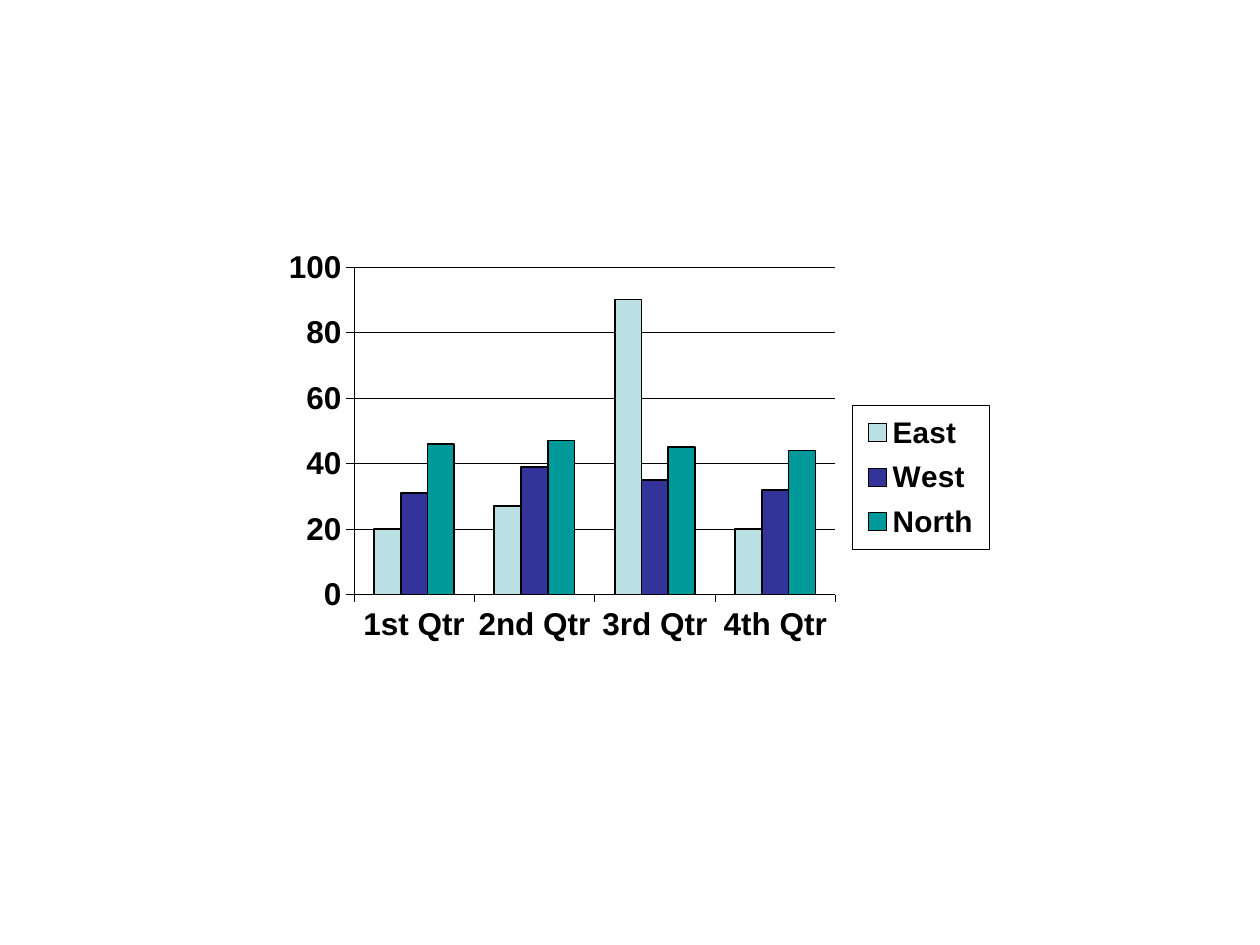
from lxml.etree import SubElement
from pptx import Presentation
from pptx.chart.data import CategoryChartData
from pptx.dml.color import RGBColor
from pptx.enum.chart import XL_CHART_TYPE as ChartType
from pptx.enum.chart import XL_LEGEND_POSITION as LegendPosition
from pptx.enum.chart import XL_TICK_LABEL_POSITION as LabelPosition
from pptx.enum.chart import XL_TICK_MARK as TickMark
from pptx.oxml import parse_xml
from pptx.oxml.ns import nsdecls, qn
from pptx.util import Pt

BLACK = "000000"
QUARTERS = ["1st Qtr", "2nd Qtr", "3rd Qtr", "4th Qtr"]
REGIONS = [
    ("East", [20, 27, 90, 20], "BBE0E3"),
    ("West", [31, 39, 35, 32], "333399"),
    ("North", [46, 47, 45, 44], "009999"),
]


def color(hex_value):
    return RGBColor.from_string(hex_value)


def style_font(font, size):
    font.name = "Arial"
    font.size = Pt(size)
    font.bold = True
    font.color.rgb = color(BLACK)


def style_line(line, width):
    line.color.rgb = color(BLACK)
    line.width = Pt(width)


def make_layout(left, top, width, height, inner=False):
    """Manual layout, in fractions of the chart's size."""
    layout = parse_xml(f"<c:layout {nsdecls('c')}><c:manualLayout/></c:layout>")
    settings = [("layoutTarget", "inner")] if inner else []
    settings += [("xMode", "edge"), ("yMode", "edge"),
                 ("x", left), ("y", top), ("w", width), ("h", height)]
    for name, value in settings:
        SubElement(layout[0], qn(f"c:{name}")).set("val", str(value))
    return layout


def style_axis(axis):
    axis.major_tick_mark = TickMark.OUTSIDE
    axis.minor_tick_mark = TickMark.NONE
    style_font(axis.tick_labels.font, 18)
    style_line(axis.format.line, 0.25)


def add_legend(chart):
    chart.has_legend = True
    legend = chart.legend
    legend.position = LegendPosition.RIGHT
    legend.include_in_layout = False
    style_font(legend.font, 17)
    position = legend._element.find(qn("c:legendPos"))
    for old_layout in legend._element.findall(qn("c:layout")):
        legend._element.remove(old_layout)
    position.addnext(make_layout(0.81, 0.36, 0.19, 0.3))
    # Thin frame around the legend
    frame = parse_xml(
        f'<c:spPr {nsdecls("c", "a")}><a:noFill/><a:ln w="{Pt(0.25)}"><a:solidFill>'
        f'<a:srgbClr val="{BLACK}"/></a:solidFill></a:ln></c:spPr>')
    legend._element.find(qn("c:txPr")).addprevious(frame)


def add_quarter_chart(slide, left, top, width, height):
    data = CategoryChartData()
    data.categories = QUARTERS
    for name, values, _ in REGIONS:
        data.add_series(name, values)
    chart = slide.shapes.add_chart(
        ChartType.COLUMN_CLUSTERED, Pt(left), Pt(top), Pt(width), Pt(height), data).chart
    chart.has_title = False
    style_font(chart.font, 18)

    # Columns
    plot = chart.plots[0]
    plot.gap_width = 150
    plot.overlap = 0
    plot.vary_by_categories = False
    for series, (_, _, fill_color) in zip(plot.series, REGIONS):
        series.format.fill.solid()
        series.format.fill.fore_color.rgb = color(fill_color)
        style_line(series.format.line, 1)

    # Axes and gridlines
    category_axis, value_axis = chart.category_axis, chart.value_axis
    style_axis(category_axis)
    category_axis.tick_label_position = LabelPosition.LOW
    style_axis(value_axis)
    value_axis.minimum_scale, value_axis.maximum_scale = 0, 100
    value_axis.major_unit = 20
    value_axis.has_major_gridlines = True
    style_line(value_axis.major_gridlines.format.line, 0.25)

    # Plot area and legend
    plot_area = chart._chartSpace.chart.plotArea
    for old_layout in plot_area.findall(qn("c:layout")):
        plot_area.remove(old_layout)
    plot_area.insert(0, make_layout(0.114, 0.073, 0.672, 0.681, inner=True))
    add_legend(chart)


def main():
    presentation = Presentation()
    presentation.slide_width, presentation.slide_height = Pt(720), Pt(540)
    slide = presentation.slides.add_slide(presentation.slide_layouts[6])
    add_quarter_chart(slide, 155.5, 132.5, 409.7, 275)
    presentation.save("out.pptx")


if __name__ == "__main__":
    main()
